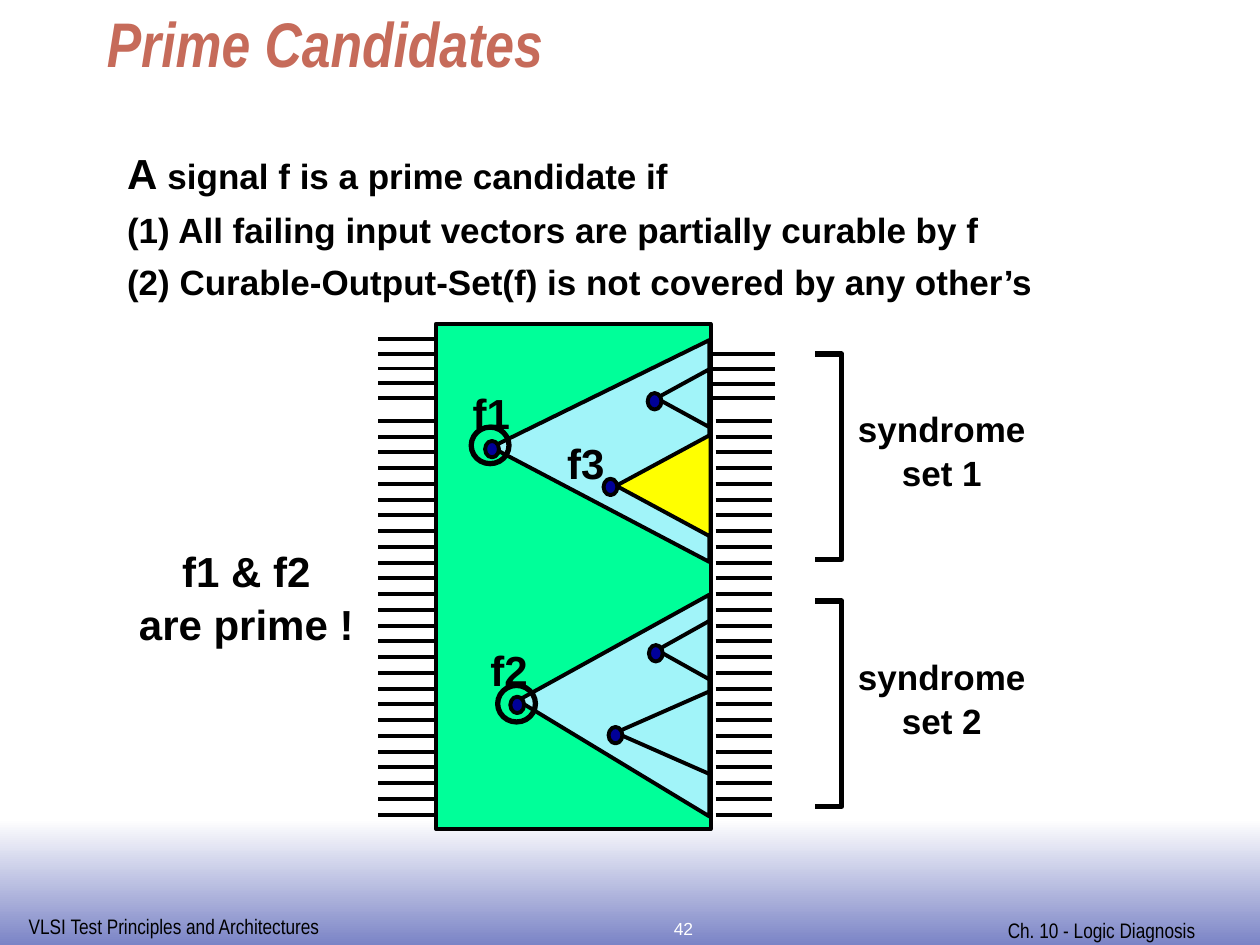
from lxml.etree import SubElement
from pptx import Presentation
from pptx.dml.color import RGBColor
from pptx.enum.shapes import MSO_CONNECTOR, MSO_SHAPE
from pptx.enum.text import MSO_ANCHOR, PP_ALIGN
from pptx.oxml.ns import qn
from pptx.util import Inches, Pt

BLACK, WHITE, TITLE_RED = "000000", "FFFFFF", "C66B5A"
GREEN, PALE_BLUE, YELLOW, NAVY = "00FF99", "A1F4F9", "FFFF00", "000099"
FOOTER_BLUE = "7B84C6"

FOOTERS = [
    ("VLSI Test Principles and Architectures", (0.13, 7.2, 2.53, 0.3)),
    ("Ch. 10 - Logic Diagnosis", (7.9, 7.23, 1.96, 0.3)),
]
DEFINITION = [
    [("A ", 24), ("signal f is a prime candidate if", 20)],
    [("(1) All failing input vectors are partially curable by f", 20)],
    [("(2) Curable-Output-Set(f) is not covered by any other’s", 20)],
]
SIGNAL_LABELS = [("f1", 3.65, 3.1), ("f2", 3.79, 5.14), ("f3", 4.4, 3.5)]
SYNDROMES = [("set 1", 3.25, 2.81), ("set 2", 5.22, 4.77)]

PIN_ROWS = [
    (3, 3.45, 2.69, 0.1175, 5),
    (5.64, 6.15, 2.81, 0.1175, 4),
    (3, 3.45, 3.34, 0.125, 26),
    (5.68, 6.13, 3.34, 0.125, 26),
]
CONES = [(3.9, 3.55, 2.7), (4.11, 5.56, 4.72)]
CONE_RIGHT, CONE_HEIGHT = 5.63, 1.76
INNER_CONES = [
    ((5.19, 2.95, 0.46, 0.42), None),
    ((4.86, 3.48, 0.81, 0.75), YELLOW),
    ((5.19, 4.95, 0.47, 0.42), None),
    ((4.93, 5.44, 0.66, 0.75), None),
]
SIGNAL_DOTS = [(4.05, 5.53), (5.14, 3.12), (4.79, 3.8), (3.85, 3.5), (5.15, 5.12), (4.83, 5.77)]
PRIME_RINGS = [(3.74, 3.39), (3.95, 5.44)]
BRACKET_LEFT, BRACKET_RIGHT, BRACKET_HEIGHT = 6.47, 6.68, 1.63

presentation = Presentation()
presentation.slide_width, presentation.slide_height = Inches(10), Inches(7.5)
slide = presentation.slides.add_slide(presentation.slide_layouts[6])


def color(value):
    return RGBColor.from_string(value)


def style(shape, fill=None, line_width=2.25):
    shape.shadow.inherit = False
    if fill:
        shape.fill.solid()
        shape.fill.fore_color.rgb = color(fill)
    else:
        shape.fill.background()
    shape.line.color.rgb = color(BLACK)
    shape.line.width = Pt(line_width)
    return shape


def add_preset(kind, box, fill=None, line_width=2.25):
    shape = slide.shapes.add_shape(kind, *map(Inches, box))
    return style(shape, fill, line_width)


def add_outline(points, closed, fill=None, line_width=2.25):
    corners = [(Inches(x), Inches(y)) for x, y in points]
    builder = slide.shapes.build_freeform(*corners[0])
    builder.add_line_segments(corners[1:], close=closed)
    return style(builder.convert_to_shape(), fill, line_width)


def add_pin(left, right, y):
    pin = slide.shapes.add_connector(
        MSO_CONNECTOR.STRAIGHT, Inches(left), Inches(y), Inches(right), Inches(y))
    pin.line.color.rgb = color(BLACK)
    pin.line.width = Pt(2.25)
    SubElement(pin._element.spPr, qn("a:effectLst"))


def add_text(paragraphs, box, size=24, font="Arial", fill=BLACK, bold=False, italic=False,
             align=PP_ALIGN.LEFT, anchor=MSO_ANCHOR.TOP, wrap=True, spacing=1.0, gap=0):
    frame = slide.shapes.add_textbox(*map(Inches, box)).text_frame
    frame.word_wrap = wrap
    frame.vertical_anchor = anchor
    for index, content in enumerate(paragraphs):
        paragraph = frame.paragraphs[0] if index == 0 else frame.add_paragraph()
        paragraph.alignment = align
        paragraph.line_spacing = spacing
        if index:
            paragraph.space_before = Pt(gap)
        runs = [(content, size)] if isinstance(content, str) else content
        for text, run_size in runs:
            run = paragraph.add_run()
            run.text = text
            run.font.name = font
            run.font.size = Pt(run_size)
            run.font.bold = bold
            run.font.italic = italic
            run.font.color.rgb = color(fill)


def add_label(lines, box, size=24, gap=7):
    add_text(lines, box, size=size, bold=True, align=PP_ALIGN.CENTER,
             wrap=False, spacing=0.8, gap=gap)


band = add_preset(MSO_SHAPE.RECTANGLE, (0, 6.5, 10, 1))
band.line.fill.background()
band.fill.gradient()
band.fill.gradient_angle = 270
for stop, value in zip(band.fill.gradient_stops, (WHITE, FOOTER_BLUE)):
    stop.color.rgb = color(value)

for text, box in FOOTERS:
    add_text([text], box, size=12, font="Arial Narrow")
add_text(["42"], (4.26, 7.06, 2.33, 0.44), size=10, fill=WHITE,
         align=PP_ALIGN.CENTER, anchor=MSO_ANCHOR.BOTTOM)
add_text(["Prime Candidates"], (0.75, 0.13, 8.5, 0.55), size=36, font="Arial Narrow",
         fill=TITLE_RED, bold=True, italic=True, anchor=MSO_ANCHOR.BOTTOM, spacing=0.8)
add_text(DEFINITION, (0.91, 1.12, 8.39, 1.28), bold=True, gap=6)

add_preset(MSO_SHAPE.RECTANGLE, (3.46, 2.57, 2.18, 4.01), GREEN)
for left, right, top, pitch, count in PIN_ROWS:
    for index in range(count):
        add_pin(left, right, top + index * pitch)

for tip_x, tip_y, top in CONES:
    add_outline([(tip_x, tip_y), (CONE_RIGHT, top), (CONE_RIGHT, top + CONE_HEIGHT)],
                True, PALE_BLUE)
for box, fill in INNER_CONES:
    add_preset(MSO_SHAPE.ISOSCELES_TRIANGLE, box, fill).rotation = 270
for left, top in SIGNAL_DOTS:
    add_preset(MSO_SHAPE.OVAL, (left, top, 0.11, 0.13), NAVY)

for text, left, top in SIGNAL_LABELS:
    add_label([text], (left, top, 0.5, 0.42))
for left, top in PRIME_RINGS:
    add_preset(MSO_SHAPE.OVAL, (left, top, 0.3, 0.29), line_width=3)
add_label(["f1 & f2", "are prime !"], (1, 4.36, 1.91, 0.82))

for name, text_top, top in SYNDROMES:
    add_label(["syndrome", name], (6.71, text_top, 1.53, 0.71), size=20, gap=6)
    bottom = top + BRACKET_HEIGHT
    add_outline([(BRACKET_LEFT, top), (BRACKET_RIGHT, top),
                 (BRACKET_RIGHT, bottom), (BRACKET_LEFT, bottom)], False, line_width=3)

presentation.save("out.pptx")
